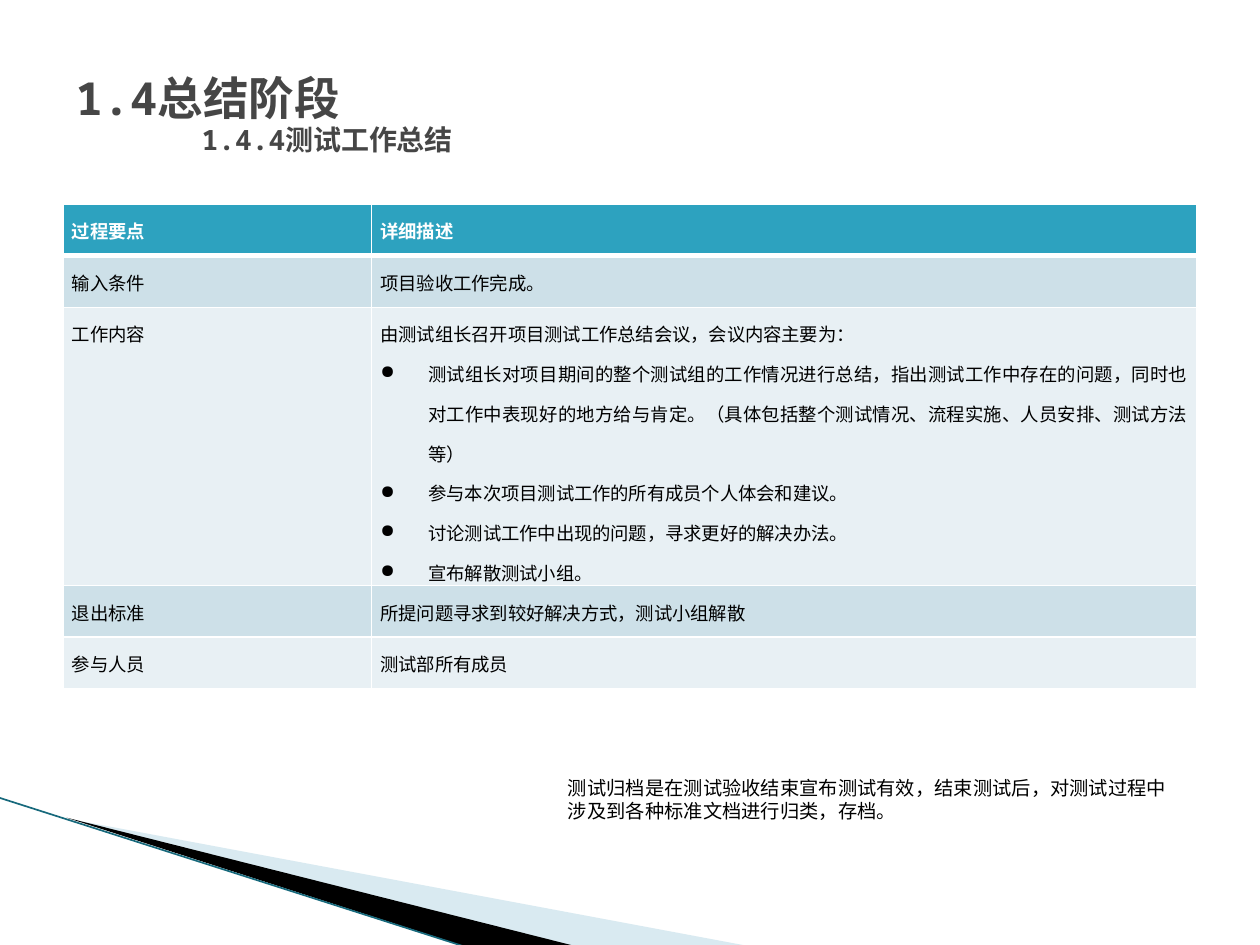
import dataclasses

import pptx
import pptx.dml.color
import pptx.enum.shapes
import pptx.enum.text
import pptx.oxml
import pptx.oxml.ns
import pptx.util

ALIGN = pptx.enum.text.PP_ALIGN
ANCHOR = pptx.enum.text.MSO_ANCHOR


@dataclasses.dataclass(frozen=True)
class Theme:
    heading: str = "464646"
    body: str = "000000"
    inverse: str = "FFFFFF"
    header: str = "2DA2BF"
    bands: tuple = ("CDE0E8", "E8F0F4")
    pale_wedge: str = "A0CBDC"
    dark_wedge: str = "000000"
    edge: str = "17697C"
    cjk: str = "Noto Sans CJK SC"
    mono: str = "Noto Sans Mono"
    title_size: float = 26
    subtitle_size: float = 16
    note_size: float = 11
    table_size: float = 10.5


def rgb(value):
    return pptx.dml.color.RGBColor.from_string(value)


def apply(target, formats):
    for name, value in formats.items():
        setattr(target, name, value)


def add_xml(parent, tag, **attributes):
    element = pptx.oxml.parse_xml(f"<a:{tag} {pptx.oxml.ns.nsdecls('a')}/>")
    for name, value in attributes.items():
        element.set(name, str(value))
    parent.append(element)
    return element


class SummarySlide:
    """Draws slide elements on a grid of 100 columns by 75 rows."""

    def __init__(self, presentation, theme):
        self.theme = theme
        self.column = presentation.slide_width / 100
        self.row = presentation.slide_height / 75
        self.slide = presentation.slides.add_slide(presentation.slide_layouts[5])

    def x(self, columns):
        return pptx.util.Emu(round(columns * self.column))

    def y(self, rows):
        return pptx.util.Emu(round(rows * self.row))

    def box(self, left, top, width, height):
        return self.x(left), self.y(top), self.x(width), self.y(height)

    def add_wording(self, paragraph, wording, size, color, font, bold=False):
        run = paragraph.add_run()
        run.text = wording
        apply(run.font, {"name": font, "size": pptx.util.Pt(size), "bold": bold})
        run.font.color.rgb = rgb(color)
        add_xml(run.font._element, "ea", typeface=self.theme.cjk)

    def title(self, area, stage, topic):
        heading = self.slide.shapes.title
        apply(heading, dict(zip(("left", "top", "width", "height"), self.box(*area))))
        frame = heading.text_frame
        apply(frame, {"vertical_anchor": ANCHOR.TOP, "word_wrap": True,
                      "auto_size": pptx.enum.text.MSO_AUTO_SIZE.NONE,
                      "margin_top": self.y(2.2)})
        lines = ((stage, self.theme.title_size, 34, 0),
                 (topic, self.theme.subtitle_size, 18, 10))
        for index, (wording, size, spacing, indent) in enumerate(lines):
            paragraph = frame.add_paragraph() if index else frame.paragraphs[0]
            paragraph._p.get_or_add_pPr().set("marL", str(self.x(indent)))
            apply(paragraph, {"alignment": ALIGN.LEFT, "space_before": pptx.util.Pt(0),
                              "line_spacing": pptx.util.Pt(spacing)})
            self.add_wording(paragraph, wording, size, self.theme.heading,
                             self.theme.mono, True)

    def note(self, area, wording):
        frame = self.slide.shapes.add_textbox(*self.box(*area)).text_frame
        frame.word_wrap = True
        self.add_wording(frame.paragraphs[0], wording, self.theme.note_size,
                         self.theme.body, self.theme.mono)

    def wedge(self, corners, color, opacity=100):
        points = [(self.x(column), self.y(row)) for column, row in corners]
        builder = self.slide.shapes.build_freeform(*points[0], scale=1.0)
        builder.add_line_segments(points[1:], close=True)
        wedge = builder.convert_to_shape()
        wedge.shadow.inherit = False
        wedge.fill.solid()
        wedge.fill.fore_color.rgb = rgb(color)
        wedge.line.fill.background()
        if opacity < 100:
            fill = wedge._element.spPr.find(pptx.oxml.ns.qn("a:solidFill"))
            add_xml(fill[0], "alpha", val=opacity * 1000)

    def edge(self, start, end, color, weight):
        edge = self.slide.shapes.add_connector(
            pptx.enum.shapes.MSO_CONNECTOR.STRAIGHT,
            self.x(start[0]), self.y(start[1]), self.x(end[0]), self.y(end[1]))
        edge.line.color.rgb = rgb(color)
        edge.line.width = pptx.util.Pt(weight)
        add_xml(edge._element.spPr, "effectLst")

    def borders(self, cell, bottom):
        properties = cell._tc.get_or_add_tcPr()
        for side, weight in (("lnL", 1), ("lnR", 1), ("lnT", 1), ("lnB", bottom)):
            line = add_xml(properties, side, w=pptx.util.Pt(weight))
            add_xml(add_xml(line, "solidFill"), "srgbClr", val=self.theme.inverse)

    def cell(self, cell, wording, fill, color, bold):
        self.borders(cell, 3 if bold else 1)
        cell.fill.solid()
        cell.fill.fore_color.rgb = rgb(fill)
        apply(cell, {"margin_left": self.x(0.7), "margin_right": self.x(0.7),
                     "margin_top": 0, "margin_bottom": 0, "vertical_anchor": ANCHOR.TOP})
        for index, text in enumerate(wording):
            frame = cell.text_frame
            paragraph = frame.add_paragraph() if index else frame.paragraphs[0]
            if index:
                properties = paragraph._p.get_or_add_pPr()
                properties.set("marL", str(self.x(3.8)))
                properties.set("indent", str(-self.x(3.8)))
                add_xml(properties, "buChar", char="●")
            apply(paragraph, {"alignment": ALIGN.JUSTIFY, "line_spacing": 1.5})
            self.add_wording(paragraph, text, self.theme.table_size, color,
                             self.theme.cjk, bold)

    def table(self, left, top, widths, heights, records):
        area = self.box(left, top, sum(widths), sum(heights))
        table = self.slide.shapes.add_table(len(heights), len(widths), *area).table
        for column, width in zip(table.columns, widths):
            column.width = self.x(width)
        for index, (row, height, record) in enumerate(zip(table.rows, heights, records)):
            row.height = self.y(height)
            header = index == 0
            fill = self.theme.header if header else self.theme.bands[(index - 1) % 2]
            color = self.theme.inverse if header else self.theme.body
            for cell, wording in zip(row.cells, record):
                self.cell(cell, wording, fill, color, header)


PROCESS = [
    (["过程要点"], ["详细描述"]),
    (["输入条件"], ["项目验收工作完成。"]),
    (["工作内容"], [
        "由测试组长召开项目测试工作总结会议，会议内容主要为：",
        "测试组长对项目期间的整个测试组的工作情况进行总结，指出测试工作中存在的问题，"
        "同时也对工作中表现好的地方给与肯定。（具体包括整个测试情况、流程实施、人员安排、测试方法等）",
        "参与本次项目测试工作的所有成员个人体会和建议。",
        "讨论测试工作中出现的问题，寻求更好的解决办法。",
        "宣布解散测试小组。"]),
    (["退出标准"], ["所提问题寻求到较好解决方式，测试小组解散"]),
    (["参与人员"], ["测试部所有成员"]),
]


def main():
    presentation = pptx.Presentation()
    presentation.slide_width = pptx.util.Inches(10)
    presentation.slide_height = pptx.util.Inches(7.5)
    theme = Theme()
    summary = SummarySlide(presentation, theme)
    summary.wedge([(5.5, 65), (59.5, 75.1), (45.6, 75.1)], theme.pale_wedge, 40)
    summary.wedge([(5.3, 64.9), (45.7, 75.1), (37.2, 75.2)], theme.dark_wedge)
    summary.edge((-0.1, 63.3), (37.1, 75.2), theme.edge, 0.95)
    summary.table(5, 16.2, (24.5, 65.5), (4.1, 4.1, 22, 4.1, 4.1), PROCESS)
    summary.title((5, 3, 90, 12.5), "1.4总结阶段", "1.4.4测试工作总结")
    summary.note((44.1, 61.1, 50, 4.7),
                 "测试归档是在测试验收结束宣布测试有效，结束测试后，"
                 "对测试过程中涉及到各种标准文档进行归类，存档。")
    presentation.save("out.pptx")


if __name__ == "__main__":
    main()
